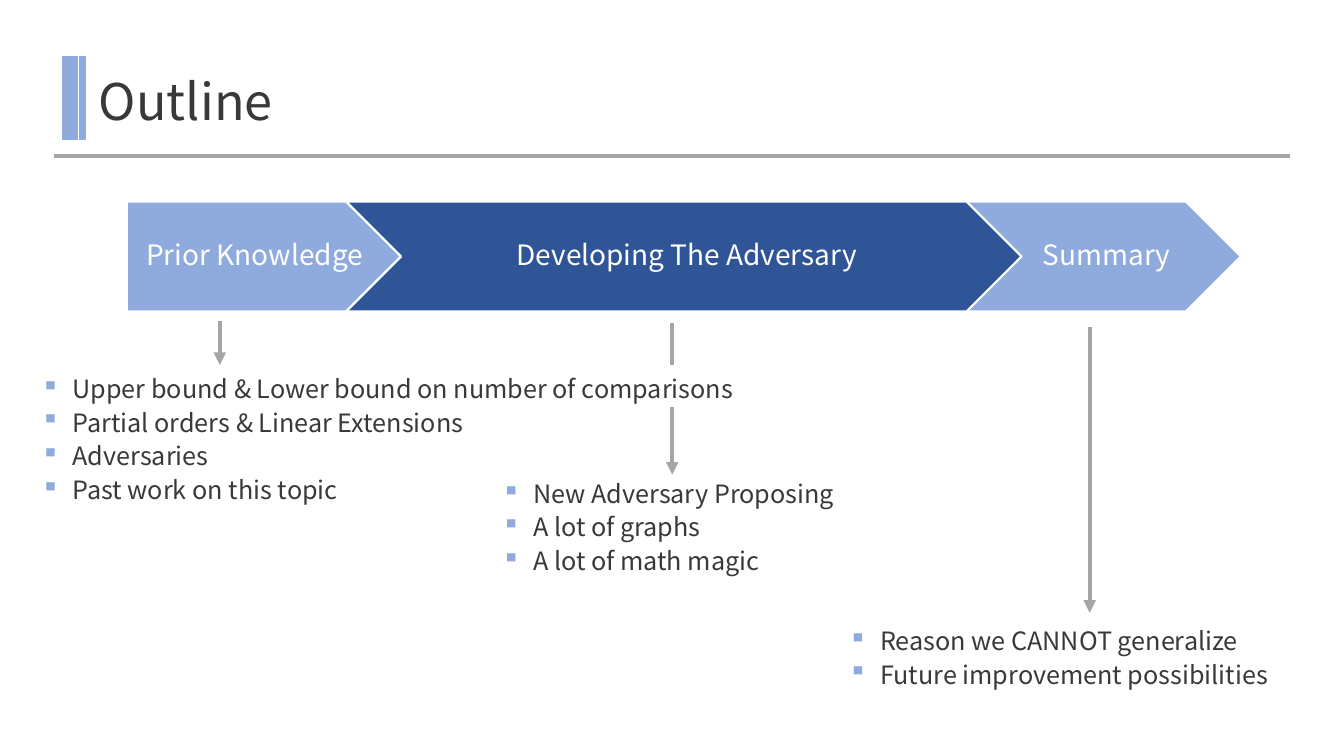
from pptx import Presentation
from pptx.dml.color import RGBColor
from pptx.enum import shapes, text
from pptx.oxml.ns import qn
from pptx.util import Cm, Pt
from lxml import etree

LIGHT_BLUE = RGBColor(0x8F, 0xAA, 0xDC)
DARK_BLUE = RGBColor(0x2F, 0x55, 0x97)
GRAY = RGBColor(0xA5, 0xA5, 0xA5)
INK = RGBColor(0x3B, 0x38, 0x38)
WHITE = RGBColor(0xFF, 0xFF, 0xFF)
FONT = "Noto Sans CJK JP"


def style_text(paragraph, size, color, spacing):
    paragraph.line_spacing = spacing
    for run in paragraph.runs:
        run.font.name = FONT
        run.font.size = Pt(size)
        run.font.color.rgb = color


def add_rule(x1, y1, x2, y2, arrow):
    rule = slide.shapes.add_connector(
        shapes.MSO_CONNECTOR.STRAIGHT, Cm(x1), Cm(y1), Cm(x2), Cm(y2))
    rule.line.color.rgb = GRAY
    rule.line.width = Pt(3)
    if arrow:
        etree.SubElement(rule.line._get_or_add_ln(), qn("a:tailEnd"), type="triangle")
    etree.SubElement(rule._element.spPr, qn("a:effectLst"))


prs = Presentation()
prs.slide_width, prs.slide_height = Cm(33.87), Cm(19.05)
slide = prs.slides.add_slide(prs.slide_layouts[5])

for left, width in [(1.57, 0.38), (2.01, 0.13)]:
    accent = slide.shapes.add_shape(
        shapes.MSO_SHAPE.RECTANGLE, Cm(left), Cm(1.42), Cm(width), Cm(2.08))
    accent.shadow.inherit = False
    accent.fill.solid()
    accent.fill.fore_color.rgb = LIGHT_BLUE
    accent.line.color.rgb = LIGHT_BLUE
    accent.line.width = Pt(1)
add_rule(1.35, 3.94, 32.51, 3.94, False)

title = slide.shapes.title
title.left, title.top, title.width, title.height = Cm(2.24), Cm(1.75), Cm(30.07), Cm(1.68)
title.text_frame.text = "Outline"
title.text_frame.auto_size = text.MSO_AUTO_SIZE.NONE
title.text_frame.vertical_anchor = text.MSO_ANCHOR.BOTTOM
title.text_frame.paragraphs[0].alignment = text.PP_ALIGN.LEFT
style_text(title.text_frame.paragraphs[0], 36, INK, 0.9)

STAGE_HEIGHT = 2.77
stage_left = 3.2
stages = [
    ("Prior Knowledge", shapes.MSO_SHAPE.PENTAGON, 6.91, LIGHT_BLUE, 0.3),
    ("Developing The Adversary", shapes.MSO_SHAPE.CHEVRON, 17.02, DARK_BLUE, 0.23),
    ("Summary", shapes.MSO_SHAPE.CHEVRON, 6.91, LIGHT_BLUE, 0.23),
]
for label, outline, width, color, inset in stages:
    stage = slide.shapes.add_shape(
        outline, Cm(stage_left), Cm(5.08), Cm(width), Cm(STAGE_HEIGHT))
    stage.shadow.inherit = False
    stage.fill.solid()
    stage.fill.fore_color.rgb = color
    stage.line.color.rgb = WHITE
    stage.line.width = Pt(1.5)
    frame = stage.text_frame
    frame.text = label
    frame.margin_left, frame.margin_right = Cm(inset), Cm(0.08)
    frame.margin_top = frame.margin_bottom = Cm(0.15)
    frame.vertical_anchor = text.MSO_ANCHOR.MIDDLE
    frame.paragraphs[0].alignment = text.PP_ALIGN.CENTER
    style_text(frame.paragraphs[0], 20, WHITE, 0.9)
    stage_left += width - STAGE_HEIGHT / 2

topics = [
    (1.04, 9.32, 17.55, ["Upper bound & Lower bound on number of comparisons",
                         "Partial orders & Linear Extensions",
                         "Adversaries",
                         "Past work on this topic"]),
    (12.65, 11.96, 8.56, ["New Adversary Proposing",
                          "A lot of graphs",
                          "A lot of math magic"]),
    (21.39, 15.67, 10.9, ["Reason we CANNOT generalize",
                          "Future improvement possibilities"]),
]
for left, top, width, points in topics:
    topic = slide.shapes.add_textbox(
        Cm(left), Cm(top), Cm(width), Cm(0.85 * len(points)))
    frame = topic.text_frame
    frame.word_wrap = True
    frame.margin_left = frame.margin_right = frame.margin_top = frame.margin_bottom = 0
    frame.text = "\n".join(points)
    for point in frame.paragraphs:
        style_text(point, 18, INK, Pt(24))
        properties = point._p.get_or_add_pPr()
        properties.set("marL", str(Cm(0.79)))
        properties.set("indent", str(-Cm(0.79)))
        bullet_color = etree.SubElement(properties, qn("a:buClr"))
        etree.SubElement(bullet_color, qn("a:srgbClr"), val=str(LIGHT_BLUE))
        etree.SubElement(properties, qn("a:buChar"), char="▪")

for x, start, end, arrow in [
    (5.54, 8.1, 9.2, True),
    (16.94, 8.13, 9.2, False),
    (16.94, 10.26, 11.96, True),
    (27.46, 8.23, 15.44, True),
]:
    add_rule(x, start, x, end, arrow)

prs.save("out.pptx")
